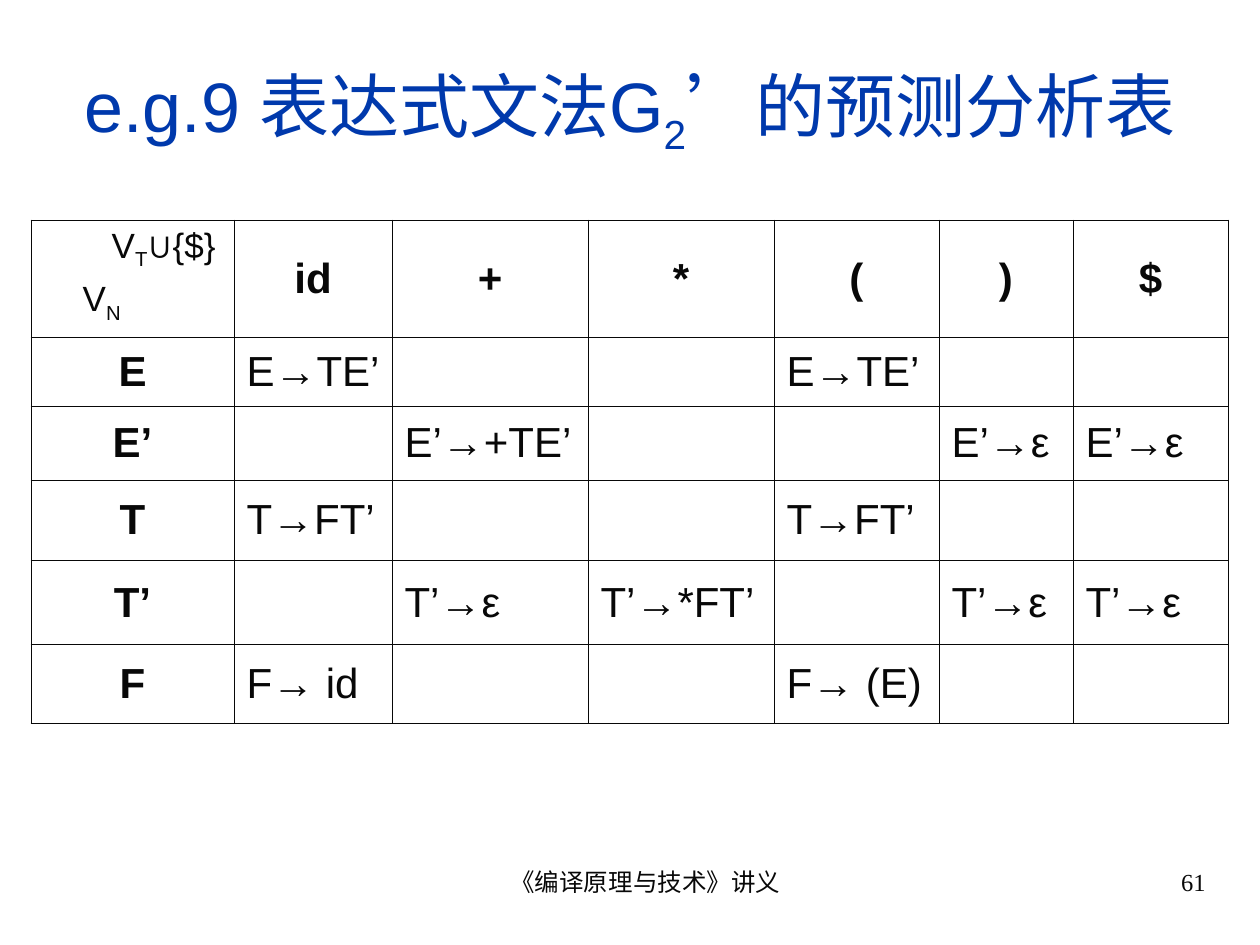
from lxml.etree import SubElement
from pptx import Presentation
from pptx.dml.color import RGBColor
from pptx.enum.text import MSO_ANCHOR, PP_ALIGN
from pptx.oxml.ns import qn
from pptx.util import Emu, Pt

# Content
TITLE = [("e.g.9 表达式文法G", 0), ("2", -25), ("’的预测分析表", 0)]
CORNER = [  # left indent in px, runs with their baseline shift
    (68, [("V", 0), ("T", -25), ("∪{$}", 0)]),
    (39, [("V", 0), ("N", -25)]),
]
TERMINALS = ["id", "+", "*", "(", ")", "$"]
PRODUCTIONS = {
    "E": {"id": "E→TE’", "(": "E→TE’"},
    "E’": {"+": "E’→+TE’", ")": "E’→ε", "$": "E’→ε"},
    "T": {"id": "T→FT’", "(": "T→FT’"},
    "T’": {"+": "T’→ε", "*": "T’→*FT’", ")": "T’→ε", "$": "T’→ε"},
    "F": {"id": "F→ id", "(": "F→ (E)"},
}
FOOTER = "《编译原理与技术》讲义"
PAGE_NUMBER = "61"

# Layout in px
PX = 7257.14
COLUMN_WIDTHS = [203, 158, 196, 186, 165, 134, 155]
ROW_HEIGHTS = [117, 69, 74, 81, 84, 79]
TABLE_LEFT, TABLE_TOP = 31, 220
FOOTER_TOP, FOOTER_HEIGHT, FOOTER_INDENT = 861, 66, 30

BLUE = RGBColor(0x00, 0x39, 0xAC)
INK = RGBColor(0x08, 0x08, 0x08)
WHITE = RGBColor(0xFF, 0xFF, 0xFF)
GRID_LINE = Pt(0.45)


def px(value):
    return Emu(round(value * PX))


def add_runs(paragraph, runs, size, color=INK, font="Arial", bold=False):
    for text, baseline in runs:
        run = paragraph.add_run()
        run.text = text
        run.font.name = font
        run.font.size = Pt(size)
        run.font.bold = bold
        run.font.color.rgb = color
        if baseline:
            run.font._element.set("baseline", str(baseline * 1000))


def set_indent(paragraph, indent):
    paragraph._p.get_or_add_pPr().set("marL", str(px(indent)))


def add_text(slide, box, runs, alignment, anchor=MSO_ANCHOR.TOP, indent=0,
             **style):
    frame = slide.shapes.add_textbox(*map(px, box)).text_frame
    frame.word_wrap = True
    frame.vertical_anchor = anchor
    paragraph = frame.paragraphs[0]
    paragraph.alignment = alignment
    set_indent(paragraph, indent)
    add_runs(paragraph, runs, **style)


def set_borders(cell):
    properties = cell._tc.get_or_add_tcPr()
    for side in "LRTB":
        line = SubElement(properties, qn(f"a:ln{side}"), w=str(int(GRID_LINE)))
        fill = SubElement(line, qn("a:solidFill"))
        SubElement(fill, qn("a:srgbClr"), val=str(INK))


def fill_cell(cell, text, heading):
    cell.vertical_anchor = MSO_ANCHOR.MIDDLE
    if not text:
        return
    paragraph = cell.text_frame.paragraphs[0]
    paragraph.space_before = Pt(6)
    paragraph.alignment = PP_ALIGN.CENTER if heading else PP_ALIGN.LEFT
    if not heading:
        cell.margin_right = Pt(3.6)  # keeps each production on one line
    add_runs(paragraph, [(text, 0)], 24, bold=heading)


def fill_corner(cell):
    cell.vertical_anchor = MSO_ANCHOR.TOP
    frame = cell.text_frame
    for index, (indent, runs) in enumerate(CORNER):
        paragraph = frame.add_paragraph() if index else frame.paragraphs[0]
        paragraph.space_before = Pt(5)
        set_indent(paragraph, indent)
        add_runs(paragraph, runs, 20)


def add_parsing_table(slide):
    rows = [[""] + TERMINALS]
    for nonterminal, entries in PRODUCTIONS.items():
        rows.append([nonterminal] + [entries.get(t, "") for t in TERMINALS])
    table = slide.shapes.add_table(
        len(rows), len(rows[0]), px(TABLE_LEFT), px(TABLE_TOP),
        px(sum(COLUMN_WIDTHS)), px(sum(ROW_HEIGHTS))).table
    for column, width in zip(table.columns, COLUMN_WIDTHS):
        column.width = px(width)
    for row, height in zip(table.rows, ROW_HEIGHTS):
        row.height = px(height)

    for r, texts in enumerate(rows):
        for c, text in enumerate(texts):
            cell = table.cell(r, c)
            cell.margin_left = cell.margin_right = Pt(7.2)
            cell.margin_top = cell.margin_bottom = Pt(3.6)
            set_borders(cell)
            cell.fill.solid()
            cell.fill.fore_color.rgb = WHITE
            if r == c == 0:
                fill_corner(cell)
            else:
                fill_cell(cell, text, heading=r == 0 or c == 0)


def main():
    presentation = Presentation()
    presentation.slide_width, presentation.slide_height = px(1260), px(945)
    slide = presentation.slides.add_slide(presentation.slide_layouts[6])

    # Title
    add_text(slide, (42, 31, 1176, 158), TITLE, PP_ALIGN.CENTER,
             MSO_ANCHOR.MIDDLE, size=40, color=BLUE)

    # Predictive parsing table
    add_parsing_table(slide)

    # Footer and page number
    footer_style = {"indent": FOOTER_INDENT, "size": 14,
                    "font": "Times New Roman"}
    add_text(slide, (431, FOOTER_TOP, 399, FOOTER_HEIGHT), [(FOOTER, 0)],
             PP_ALIGN.CENTER, **footer_style)
    add_text(slide, (903, FOOTER_TOP, 315, FOOTER_HEIGHT), [(PAGE_NUMBER, 0)],
             PP_ALIGN.RIGHT, **footer_style)

    presentation.save("out.pptx")


if __name__ == "__main__":
    main()
